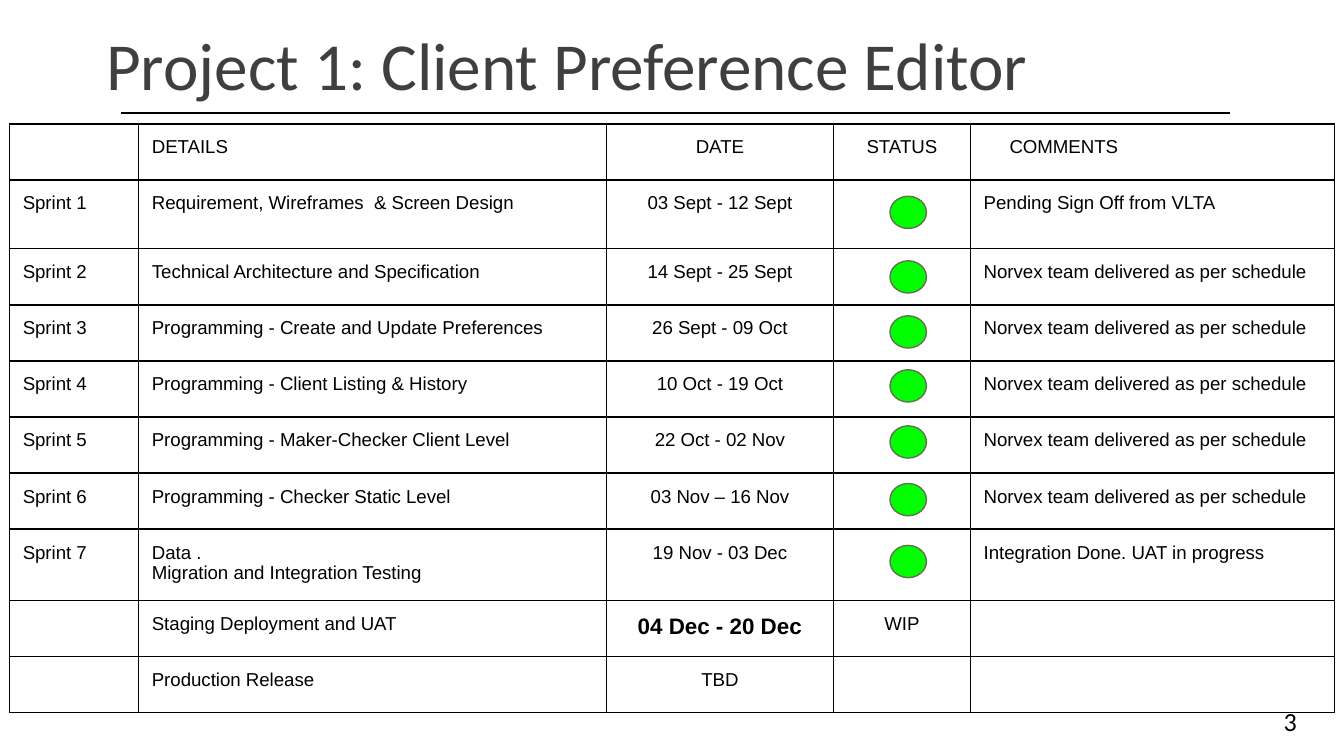
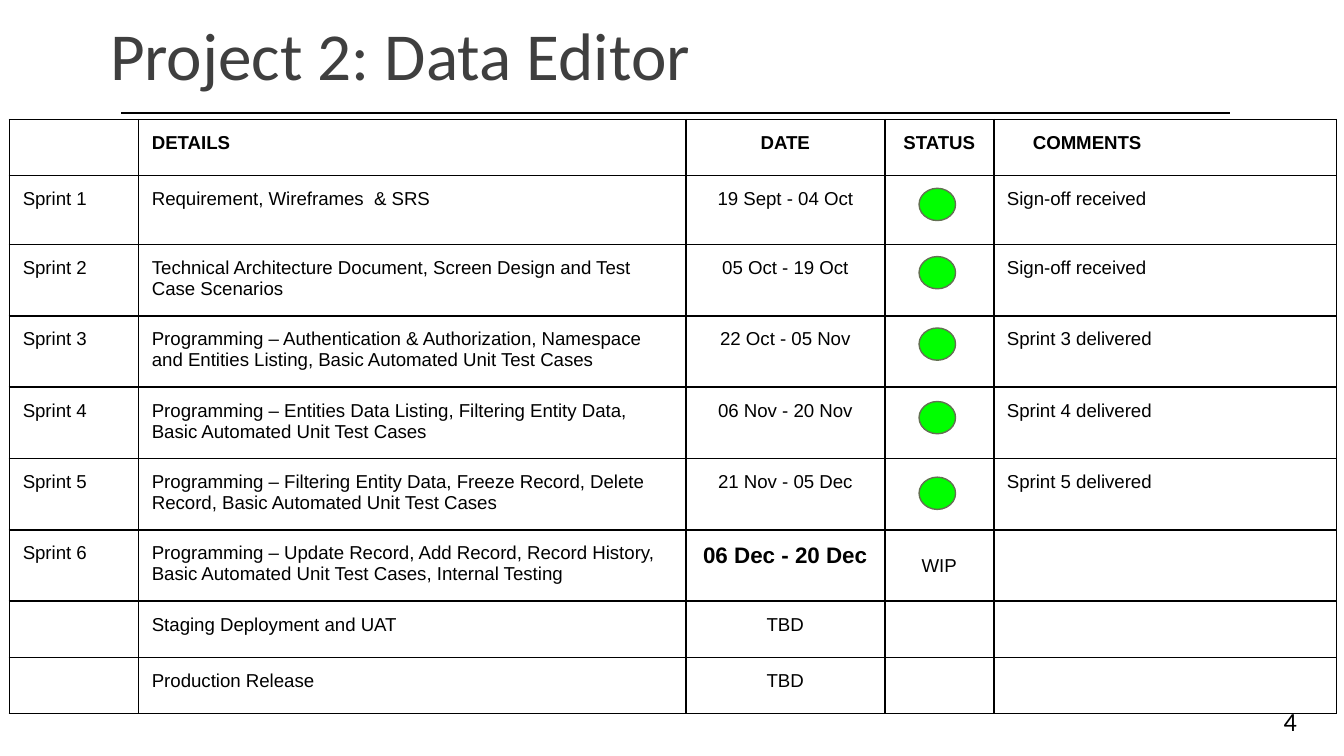
from dataclasses import dataclass
from itertools import accumulate

from lxml.etree import SubElement
from pptx import Presentation
from pptx.dml.color import RGBColor
from pptx.enum.shapes import MSO_CONNECTOR as Connector, MSO_SHAPE as Shape
from pptx.enum.text import MSO_ANCHOR as Anchor, PP_ALIGN as Align
from pptx.oxml.ns import qn
from pptx.util import Cm, Pt


@dataclass(frozen=True)
class Theme:
    ink: RGBColor = RGBColor(0, 0, 0)
    title: RGBColor = RGBColor(0x3F, 0x3F, 0x3F)
    done: RGBColor = RGBColor(0, 0xFF, 0)
    done_edge: RGBColor = RGBColor(0x63, 0x70, 0x52)
    heading_font: str = "Calibri"
    table_font: str = "Arial"
    title_size: int = 36
    number_size: int = 14
    table_size: int = 10
    current_size: int = 12


@dataclass
class Project:
    title: str
    title_at: tuple
    number: str
    table_top: float
    columns: tuple
    sprints: int
    tall_rows: range
    dot_left: float
    header_bold: bool
    current_anchor: Anchor
    rows: list


theme = Theme()
TABLE_LEFT = 0.18
ROW, TALL_ROW = 1.06, 1.3
HEADER = ("", "DETAILS", "DATE", "STATUS", "COMMENTS")
CURRENT = "WIP"
DELIVERED = "Norvex team delivered as per schedule"


def add_text(page, box, text, size, color):
    frame = page.shapes.add_textbox(*map(Cm, box)).text_frame
    frame.word_wrap = True
    frame.margin_left = frame.margin_right = Cm(0.18)
    frame.margin_top = frame.margin_bottom = Cm(0.1)
    para = frame.paragraphs[0]
    para.text = text
    para.font.name = theme.heading_font
    para.font.size = Pt(size)
    para.font.color.rgb = color
    return frame


def add_frame(page, project):
    add_text(page, (24.08, 13.23, 1.32, 0.76), project.number, theme.number_size, theme.ink)
    rule = page.shapes.add_connector(Connector.STRAIGHT, Cm(2.29), Cm(2.13), Cm(23.24), Cm(2.13))
    rule.line.color.rgb = theme.ink
    rule.line.width = Pt(1)
    SubElement(rule._element.spPr, qn("a:effectLst"))
    heading = add_text(page, (*project.title_at, 20.96, 1.52), project.title,
                       theme.title_size, theme.title)
    heading.vertical_anchor = Anchor.BOTTOM
    heading.paragraphs[0].line_spacing = 0.85


def add_borders(cell):
    properties = cell._tc.get_or_add_tcPr()
    for side in ("lnL", "lnR", "lnT", "lnB"):
        line = SubElement(properties, qn(f"a:{side}"), w=str(Pt(1)))
        fill = SubElement(line, qn("a:solidFill"))
        SubElement(fill, qn("a:srgbClr"), val=str(theme.ink))


def fill_cell(cell, text, align, size, bold):
    add_borders(cell)
    cell.fill.background()
    cell.margin_left = cell.margin_right = cell.margin_top = cell.margin_bottom = Cm(0.25)
    cell.text = text
    for para in cell.text_frame.paragraphs:
        para.alignment = align
        para.font.name = theme.table_font
        para.font.size = Pt(size)
        para.font.bold = bold
        para.font.color.rgb = theme.ink


def add_dot(page, left, top):
    dot = page.shapes.add_shape(Shape.OVAL, Cm(left), Cm(top), Cm(0.69), Cm(0.61))
    dot.shadow.inherit = False
    dot.fill.solid()
    dot.fill.fore_color.rgb = theme.done
    dot.line.color.rgb = theme.done_edge
    dot.line.width = Pt(0.75)


def add_schedule(page, project):
    count = len(project.rows) + 1
    heights = [TALL_ROW if row in project.tall_rows else ROW for row in range(count)]
    tops = list(accumulate(heights, initial=project.table_top))
    table = page.shapes.add_table(count, len(HEADER), Cm(TABLE_LEFT), Cm(project.table_top),
                                  Cm(sum(project.columns)), Cm(sum(heights))).table
    table.first_row = table.horz_banding = False
    for column, width in zip(table.columns, project.columns):
        column.width = Cm(width)
    for row, height in zip(table.rows, heights):
        row.height = Cm(height)

    lines = [HEADER]
    for number, (details, date, status, comment) in enumerate(project.rows, 1):
        label = f"Sprint {number}" if number <= project.sprints else ""
        if isinstance(status, float):
            add_dot(page, project.dot_left, tops[number] + status)
            status = ""
        lines.append((label, details, date, status, comment))

    for row, values in enumerate(lines):
        for column, text in enumerate(values):
            current = column == 2 and values[3] == CURRENT
            fill_cell(table.cell(row, column), text,
                      Align.CENTER if column in (2, 3) else Align.LEFT,
                      theme.current_size if current else theme.table_size,
                      current or (row == 0 and project.header_bold))
            if text == CURRENT:
                table.cell(row, column).vertical_anchor = project.current_anchor
    comments = table.cell(0, 4).text_frame.paragraphs[0]
    comments._p.get_or_add_pPr().set("marL", str(Cm(0.49)))


PROJECTS = [
    Project(
        title="Project 1: Client Preference Editor", title_at=(1.83, 0.56), number="3",
        table_top=2.34, columns=(2.44, 8.84, 4.29, 2.59, 6.88), sprints=7,
        tall_rows=range(1, 8, 6), dot_left=16.82, header_bold=False,
        current_anchor=Anchor.TOP,
        rows=[
            ("Requirement, Wireframes  & Screen Design", "03 Sept - 12 Sept", 0.31,
             "Pending Sign Off from VLTA"),
            ("Technical Architecture and Specification", "14 Sept - 25 Sept", 0.23, DELIVERED),
            ("Programming - Create and Update Preferences", "26 Sept - 09 Oct", 0.21, DELIVERED),
            ("Programming - Client Listing & History", "10 Oct - 19 Oct", 0.17, DELIVERED),
            ("Programming - Maker-Checker Client Level", "22 Oct - 02 Nov", 0.17, DELIVERED),
            ("Programming - Checker Static Level", "03 Nov – 16 Nov", 0.2, DELIVERED),
            ("Data .\nMigration and Integration Testing", "19 Nov - 03 Dec", 0.31,
             "Integration Done. UAT in progress"),
            ("Staging Deployment and UAT", "04 Dec - 20 Dec", CURRENT, ""),
            ("Production Release", "TBD", "", ""),
        ]),
    Project(
        title="Project 2: Data Editor", title_at=(1.9, 0.36), number="4",
        table_top=2.26, columns=(2.44, 10.34, 3.76, 2.06, 6.48), sprints=6,
        tall_rows=range(1, 7), dot_left=17.37, header_bold=True,
        current_anchor=Anchor.MIDDLE,
        rows=[
            ("Requirement, Wireframes  & SRS", "19 Sept - 04 Oct", 0.24, "Sign-off received"),
            ("Technical Architecture Document, Screen Design and Test Case Scenarios",
             "05 Oct - 19 Oct", 0.23, "Sign-off received"),
            ("Programming – Authentication & Authorization, Namespace and Entities Listing, "
             "Basic Automated Unit Test Cases", "22 Oct - 05 Nov", 0.28, "Sprint 3 delivered"),
            ("Programming – Entities Data Listing, Filtering Entity Data, "
             "Basic Automated Unit Test Cases", "06 Nov - 20 Nov", 0.37, "Sprint 4 delivered"),
            ("Programming – Filtering Entity Data, Freeze Record, Delete Record, "
             "Basic Automated Unit Test Cases", "21 Nov - 05 Dec", 0.5, "Sprint 5 delivered"),
            ("Programming – Update Record, Add Record, Record History, "
             "Basic Automated Unit Test Cases, Internal Testing", "06 Dec - 20 Dec", CURRENT, ""),
            ("Staging Deployment and UAT", "TBD", "", ""),
            ("Production Release", "TBD", "", ""),
        ]),
]

deck = Presentation()
deck.slide_width, deck.slide_height = Cm(25.4), Cm(14.29)
for project in PROJECTS:
    page = deck.slides.add_slide(deck.slide_layouts[6])
    add_frame(page, project)
    add_schedule(page, project)
deck.save("out.pptx")
